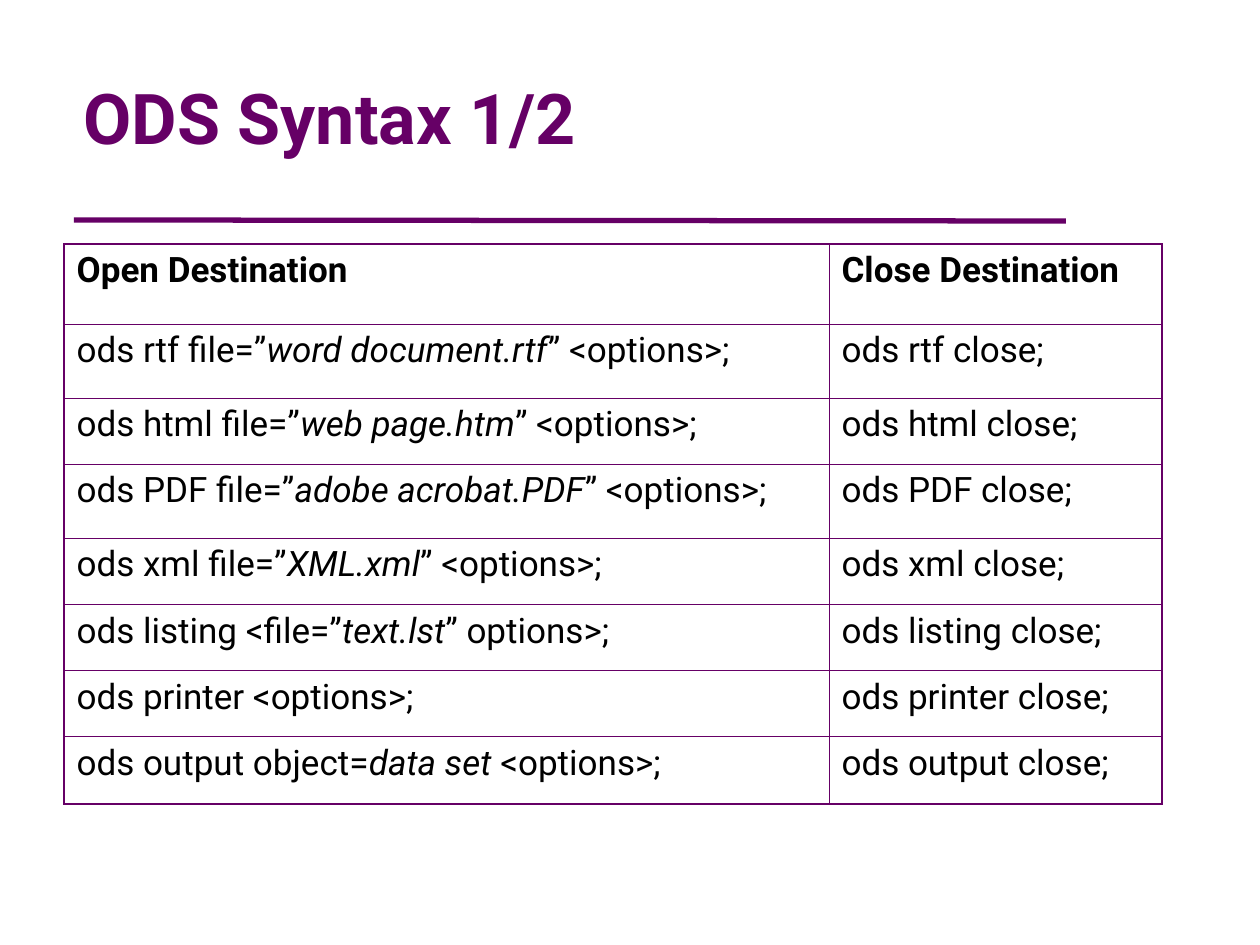
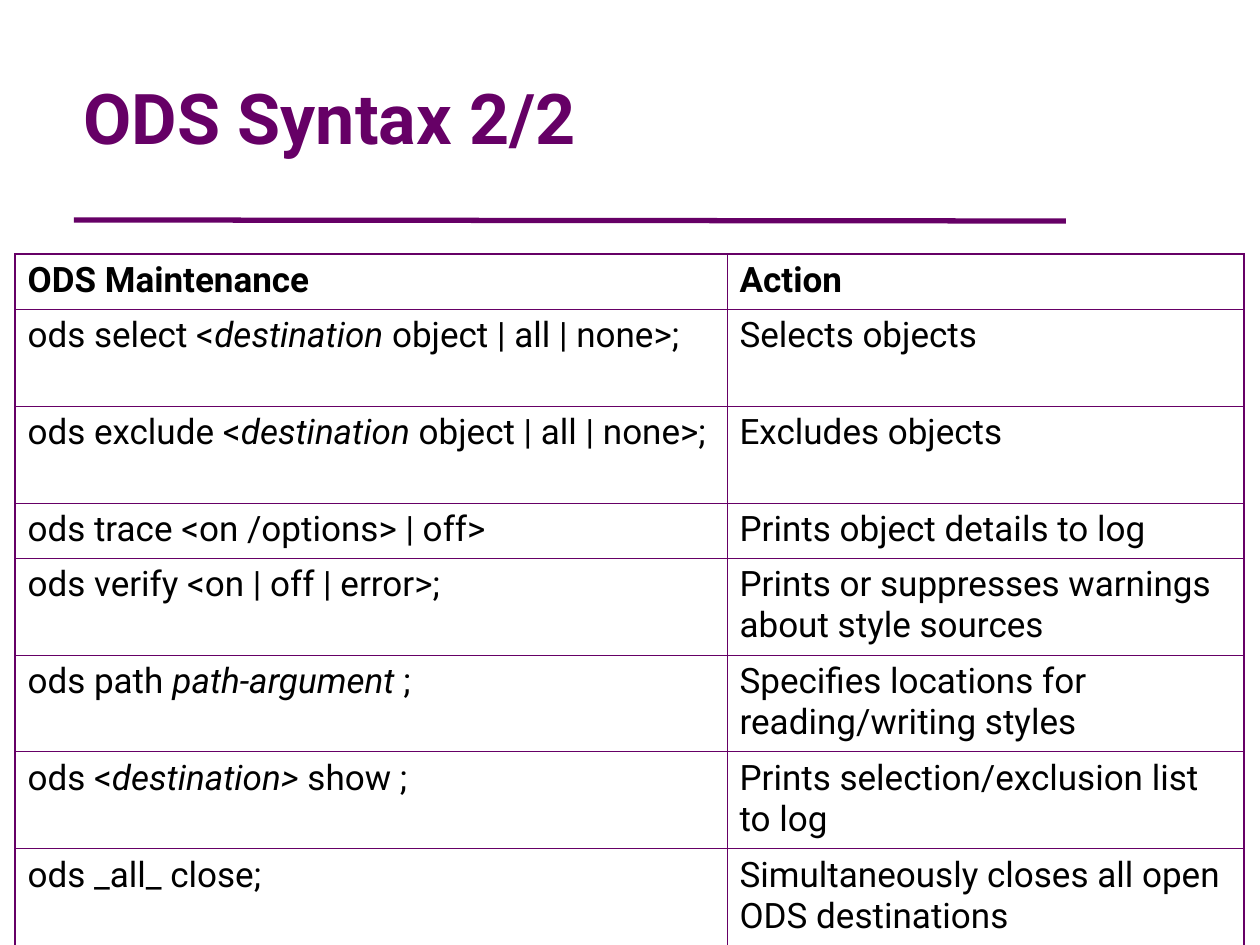
from pptx import Presentation
from pptx import util as u
from pptx.dml.color import RGBColor
from pptx.enum import shapes, text
from pptx.oxml import ns, xmlchemy

PX = 914400 / 126
FONT = "Roboto"
PURPLE, BLACK, WHITE = "660066", "000000", "FFFFFF"
OUTER, INNER = 1.08, 0.45


def px(*lengths):
    return [u.Emu(round(n * PX)) for n in lengths]


def color(value):
    return RGBColor.from_string(value)


def add_element(parent, tag, **attributes):
    element = xmlchemy.OxmlElement(tag)
    for name, value in attributes.items():
        element.set(name, str(value))
    parent.append(element)
    return element


class Deck:
    def __init__(self):
        self.prs = Presentation()
        self.prs.slide_width, self.prs.slide_height = px(1260, 945)
        self.s = None

    def add_slide(self, title):
        self.s = self.prs.slides.add_slide(self.prs.slide_layouts[5])
        self.rule(1066, 221, 74, 220)
        self.title(title)

    def style(self, p, size, value, bold):
        p.alignment = text.PP_ALIGN.LEFT
        font = p.font
        font.name, font.size, font.bold = FONT, u.Pt(size), bold
        font.color.rgb = color(value)

    def title(self, words):
        sp = self.s.shapes.title
        sp.left, sp.top, sp.width, sp.height = px(71, 53, 813, 136)
        tf = sp.text_frame
        tf.auto_size = text.MSO_AUTO_SIZE.NONE
        tf.vertical_anchor = text.MSO_ANCHOR.MIDDLE
        tf.text = words
        p = tf.paragraphs[0]
        p.line_spacing = 0.95
        self.style(p, 40, PURPLE, True)

    def rule(self, *ends):
        sp = self.s.shapes.add_connector(shapes.MSO_CONNECTOR.STRAIGHT, *px(*ends))
        sp.line.color.rgb = color(PURPLE)
        sp.line.width = u.Pt(3)
        add_element(sp._element.spPr, "a:effectLst")

    def border(self, cell, side, width):
        tcPr = cell._tc.get_or_add_tcPr()
        ln = add_element(tcPr, f"a:ln{side}", w=u.Pt(width))
        add_element(add_element(ln, "a:solidFill"), "a:srgbClr", val=PURPLE)

    def cell(self, cell, words, bold):
        p = cell.text_frame.paragraphs[0]
        self.style(p, 20, BLACK, bold)
        for i, part in enumerate(words.split("*")):
            r = p.add_run()
            r.text = part
            if i % 2:
                r.font.italic = True

    def table(self, left, top, widths, heights, rows):
        frame = self.s.shapes.add_table(
            len(rows), len(widths), *px(left, top, sum(widths), sum(heights)))
        table = frame.table
        table.first_row = table.horz_banding = False
        for column, width in zip(table.columns, px(*widths)):
            column.width = width
        for row, height in zip(table.rows, px(*heights)):
            row.height = height
        for y, row in enumerate(rows):
            for x, words in enumerate(row):
                cell = table.cell(y, x)
                edges = {"L": x == 0, "R": x == len(row) - 1,
                         "T": y == 0, "B": y == len(rows) - 1}
                for side, is_outer in edges.items():
                    self.border(cell, side, OUTER if is_outer else INNER)
                cell.fill.solid()
                cell.fill.fore_color.rgb = color(WHITE)
                self.cell(cell, words, y == 0)


DESTINATIONS = [
    ("Open Destination", "Close Destination"),
    ("ods rtf file=”*word document.rtf*” <options>;", "ods rtf close;"),
    ("ods html file=”*web page.htm*” <options>;", "ods html close;"),
    ("ods PDF file=”*adobe acrobat.PDF*” <options>;", "ods PDF close;"),
    ("ods xml file=”*XML.xml*” <options>;", "ods xml close;"),
    ("ods listing <file=”*text.lst*” options>;", "ods listing close;"),
    ("ods printer <options>;", "ods printer close;"),
    ("ods output object=*data set* <options>;", "ods output close;"),
]

MAINTENANCE = [
    ("ODS Maintenance", "Action"),
    ("ods select <*destination* object | all | none>;", "Selects objects"),
    ("ods exclude <*destination* object | all | none>;", "Excludes objects"),
    ("ods trace <on /options> | off>", "Prints object details to log"),
    ("ods verify <on | off | error>;",
     "Prints or suppresses warnings about style sources"),
    ("ods path *path-argument *;",
     "Specifies locations for reading/writing styles"),
    ("ods <*destination>* show ;", "Prints selection/exclusion list to log"),
    ("ods _all_ close;", "Simultaneously closes all open ODS destinations"),
]


def main():
    deck = Deck()
    deck.add_slide("ODS Syntax 1/2")
    deck.table(64, 244, [765, 333], [80, 74, 66, 74, 67, 66, 66, 67], DESTINATIONS)
    deck.add_slide("ODS Syntax 2/2")
    deck.table(15, 254, [712, 517], [55, 97, 97, 55] + [97] * 4, MAINTENANCE)
    deck.prs.save("out.pptx")


if __name__ == "__main__":
    main()
